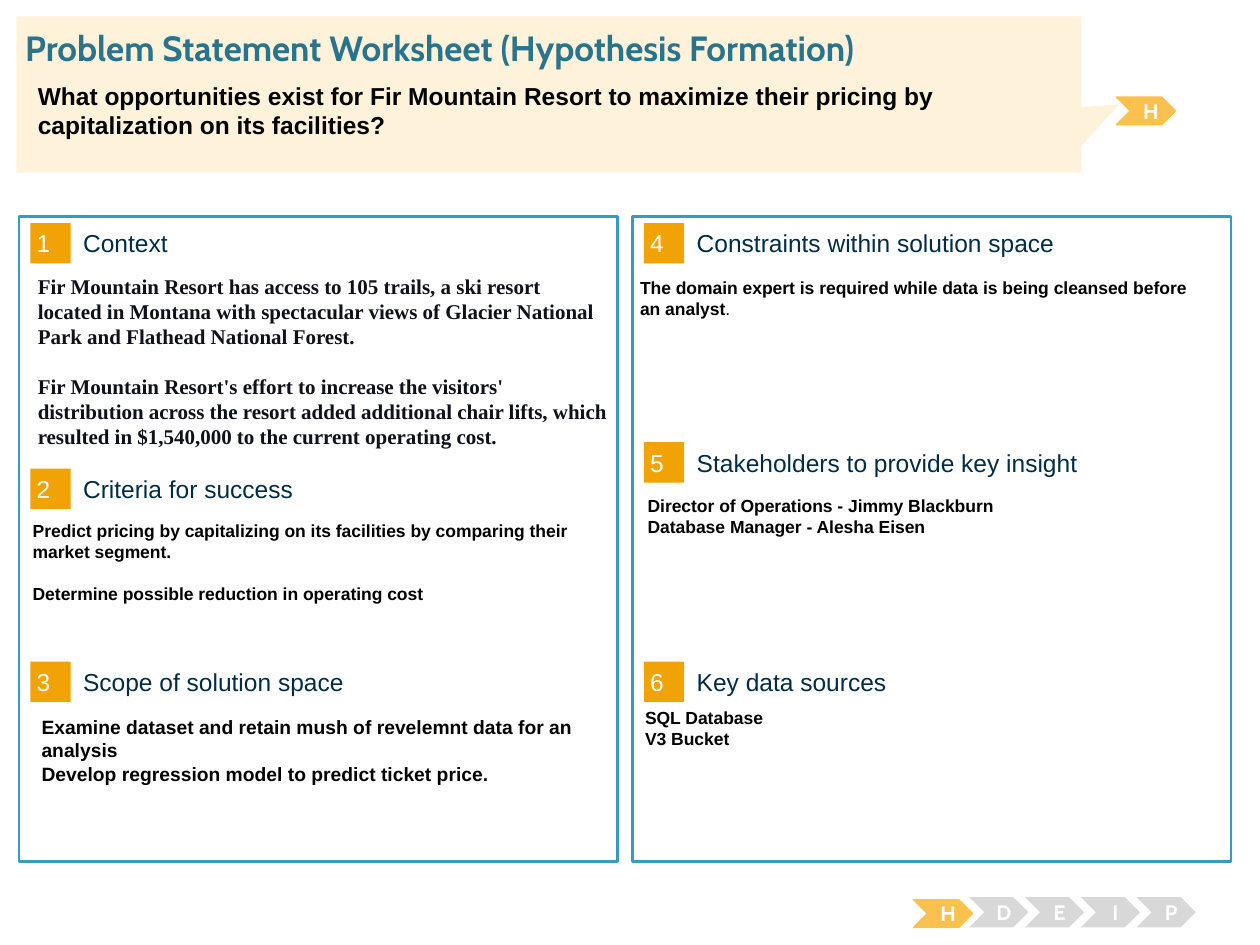
from lxml import etree
from pptx import Presentation
from pptx.dml.color import RGBColor
from pptx.enum.shapes import MSO_SHAPE
from pptx.enum.text import MSO_ANCHOR, MSO_AUTO_SIZE, PP_ALIGN
from pptx.util import Inches, Pt

RECTANGLE = MSO_SHAPE.RECTANGLE
CHEVRON = MSO_SHAPE.CHEVRON
TOP, MIDDLE = MSO_ANCHOR.TOP, MSO_ANCHOR.MIDDLE
LEFT, CENTER = PP_ALIGN.LEFT, PP_ALIGN.CENTER
NO_AUTOFIT = MSO_AUTO_SIZE.NONE

WHITE = RGBColor(0xFF, 0xFF, 0xFF)
BLACK = RGBColor(0x00, 0x00, 0x00)
INK = RGBColor(0x0E, 0x10, 0x1A)
NAVY = RGBColor(0x00, 0x2C, 0x46)
TEAL = RGBColor(0x29, 0x74, 0x8D)
PANEL_BLUE = RGBColor(0x37, 0x9B, 0xBD)
ORANGE = RGBColor(0xF1, 0xA2, 0x05)
AMBER = RGBColor(0xFB, 0xC1, 0x4E)
CREAM = RGBColor(0xFE, 0xF2, 0xDA)
GRAY = RGBColor(0xD8, 0xD8, 0xD8)

PANEL_TOP, PANEL_WIDTH, PANEL_HEIGHT = 1.72, 4.75, 5.12
BODY_WIDTH = 4.63

# Each section: number, heading, badge top, body left and top, body format, paragraphs
CONTEXT_FORMAT = {"size": 12, "font": "Times New Roman", "color": INK, "gap": 14}
BODY_FORMAT = {"size": 10, "gap": 0}
LEFT_SECTIONS = [
    ("1", "Context", 1.77, 0.25, 2.12, CONTEXT_FORMAT, [
        "Fir Mountain Resort has access to 105 trails, a ski resort located in Montana "
        "with spectacular views of Glacier National Park and Flathead National Forest.",
        "Fir Mountain Resort's effort to increase the visitors' distribution across the "
        "resort added additional chair lifts, which resulted in $1,540,000 to the "
        "current operating cost."]),
    ("2", "Criteria for success", 3.72, 0.21, 4.08, {"size": 10, "gap": 12}, [
        "Predict pricing by capitalizing on its facilities by comparing their market segment.",
        "Determine possible reduction in operating cost"]),
    ("3", "Scope of solution space", 5.25, 0.28, 5.63, {"size": 11, "gap": 0}, [
        "Examine dataset and retain mush of revelemnt data for an analysis",
        "Develop regression model to predict ticket price."]),
]
RIGHT_SECTIONS = [
    ("4", "Constraints within solution space", 1.77, 5.03, 2.15, BODY_FORMAT, [
        "The domain expert is required while data is being cleansed before an analyst"]),
    ("5", "Stakeholders to provide key insight", 3.51, 5.09, 3.88, BODY_FORMAT, [
        "Director of Operations - Jimmy Blackburn",
        "Database Manager - Alesha Eisen"]),
    ("6", "Key data sources", 5.25, 5.07, 5.56, BODY_FORMAT, [
        "SQL Database", "V3 Bucket"]),
]


def format_run(run, size, color, font="Arial", bold=False):
    run.font.size = Pt(size)
    run.font.name = font
    run.font.bold = bold
    run.font.color.rgb = color


def write_text(shape, paragraphs, size, color=BLACK, font="Arial", bold=False,
               gap=0, inset=0.05, anchor=TOP, align=LEFT):
    frame = shape.text_frame
    frame.text = "\n".join(paragraphs)
    frame.word_wrap = True
    frame.auto_size = NO_AUTOFIT
    frame.vertical_anchor = anchor
    frame.margin_left = frame.margin_right = Inches(inset)
    frame.margin_top = frame.margin_bottom = Inches(inset)
    for index, paragraph in enumerate(frame.paragraphs):
        paragraph.alignment = align
        paragraph.space_before = Pt(gap if index else 0)
        for run in paragraph.runs:
            format_run(run, size, color, font, bold)


def add_text(slide, box, paragraphs, **text_format):
    shape = slide.shapes.add_textbox(*map(Inches, box))
    write_text(shape, paragraphs, **text_format)
    return shape


def paint(shape, fill, line=None, line_width=0.75):
    shape.shadow.inherit = False
    shape.fill.solid()
    shape.fill.fore_color.rgb = fill
    if line is None:
        shape.line.fill.background()
    else:
        shape.line.color.rgb = line
        shape.line.width = Pt(line_width)


def add_shape(slide, kind, box, fill, line=None, line_width=0.75):
    shape = slide.shapes.add_shape(kind, *map(Inches, box))
    paint(shape, fill, line, line_width)
    return shape


def add_section(slide, panel_left, section):
    number, heading, top, body_left, body_top, body_format, paragraphs = section
    badge = add_shape(slide, RECTANGLE, (panel_left + 0.09, top, 0.32, 0.32), ORANGE)
    write_text(badge, [number], size=14, color=WHITE, anchor=MIDDLE)
    add_text(slide, (panel_left + 0.51, top + 0.05, 3.93, 0.22), [heading],
             size=14, color=NAVY, inset=0, anchor=MIDDLE)
    body_height = 1.91 if body_format is CONTEXT_FORMAT else 0.6
    return add_text(slide, (body_left, body_top, BODY_WIDTH, body_height), paragraphs,
                    bold=True, **body_format)


def add_panel(slide, left, sections):
    add_shape(slide, RECTANGLE, (left, PANEL_TOP, PANEL_WIDTH, PANEL_HEIGHT),
              WHITE, PANEL_BLUE, 1.5)
    return [add_section(slide, left, section) for section in sections]


def add_stage(slide, left, top, letter, active):
    if active:
        chevron = add_shape(slide, CHEVRON, (left, top, 0.47, 0.22), AMBER, AMBER)
    else:
        chevron = add_shape(slide, CHEVRON, (left, top, 0.47, 0.24), GRAY)
    write_text(chevron, [letter], size=12, color=WHITE, font="Cabin", bold=True,
               inset=0, anchor=MIDDLE, align=CENTER)
    chevron.text_frame.word_wrap = False
    chevron.text_frame.margin_left = Inches(0.08)


def add_stage_track(slide, left, top):
    for index, letter in enumerate("HDEIP"):
        active = index == 0
        add_stage(slide, left + 0.4425 * index, top + (0.02 if active else 0),
                  letter, active)


def add_header(slide, left, top, width, height):
    # Callout banner pointing at the active stage
    right, bottom = left + width, top + height
    corners = [(right, top), (right, top + 0.72), (right + 0.3, top + 0.7),
               (right, top + 1.03), (right, bottom), (left, bottom)]
    builder = slide.shapes.build_freeform(Inches(left), Inches(top))
    builder.add_line_segments([(Inches(x), Inches(y)) for x, y in corners])
    paint(builder.convert_to_shape(), CREAM)

    # Title, brought in front of the banner
    title = slide.shapes.title
    title.left, title.top, title.width, title.height = map(
        Inches, (left + 0.07, top + 0.08, 9.62, 0.34))
    write_text(title, ["Problem Statement Worksheet (Hypothesis Formation)"],
               size=20, color=TEAL, font="Cabin", bold=True, inset=0)
    slide.shapes.element.append(title.element)

    # Problem question
    add_text(slide, (left + 0.12, top + 0.46, 8.3, 0.54),
             ["What opportunities exist for Fir Mountain Resort to maximize their "
              "pricing by capitalization on its facilities?"], size=14, bold=True)


def main():
    presentation = Presentation()
    presentation.slide_width = Inches(10)
    presentation.slide_height = Inches(7.5)
    slide = presentation.slides.add_slide(presentation.slide_layouts[5])

    add_panel(slide, 0.15, LEFT_SECTIONS)
    constraints = add_panel(slide, 5.02, RIGHT_SECTIONS)[0]
    full_stop = constraints.text_frame.paragraphs[0].add_run()
    full_stop.text = "."
    format_run(full_stop, 10, BLACK)

    add_stage_track(slide, 7.25, 7.12)
    add_stage(slide, 8.86, 0.77, "H", True)
    add_header(slide, 0.13, 0.13, 8.45, 1.24)
    presentation.save("out.pptx")


if __name__ == "__main__":
    main()
